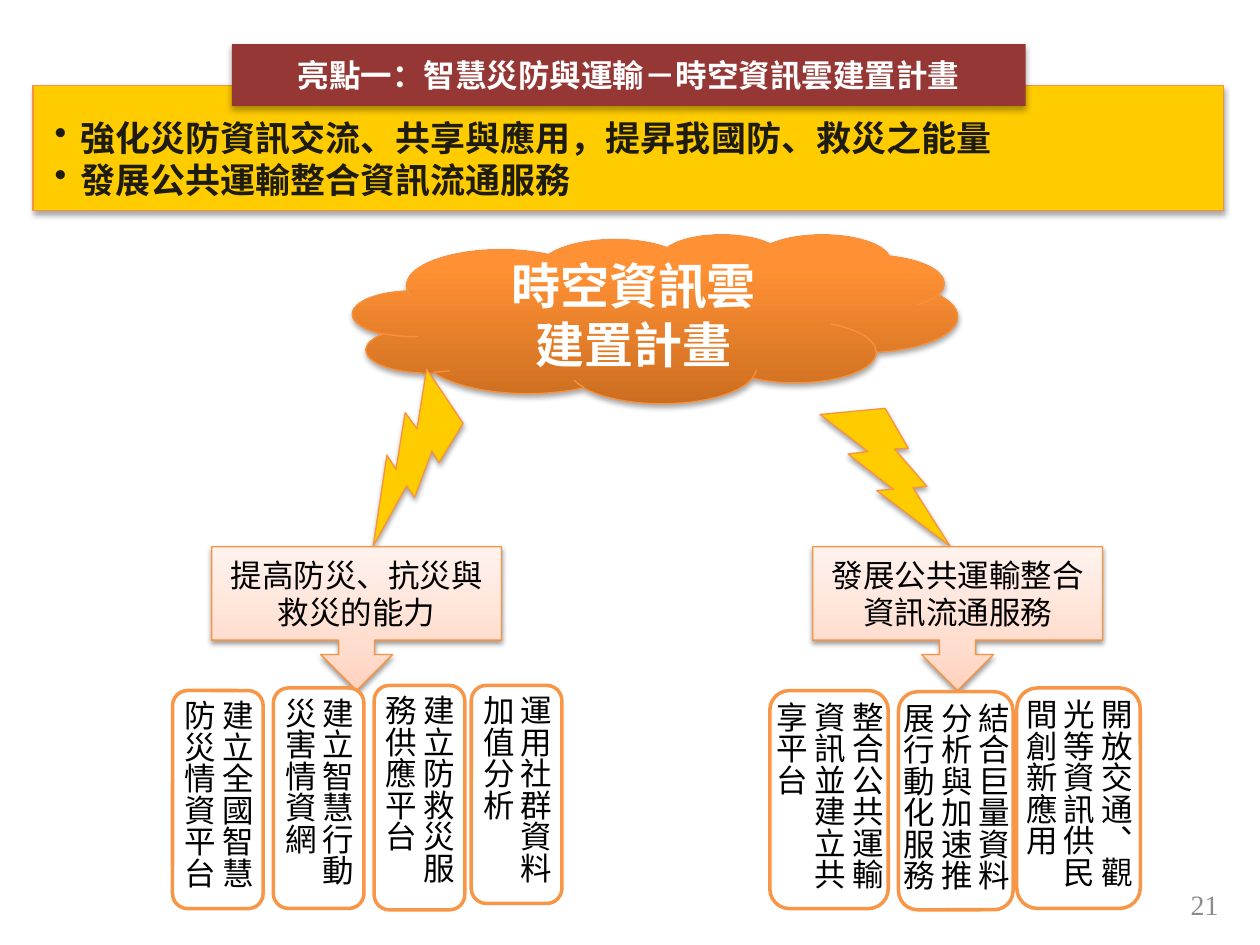
from lxml import etree
from pptx import Presentation
from pptx.dml.color import RGBColor
from pptx.enum.shapes import MSO_SHAPE
from pptx.enum.text import MSO_ANCHOR, MSO_AUTO_SIZE, PP_ALIGN
from pptx.oxml import parse_xml
from pptx.oxml.ns import qn
from pptx.util import Pt

LEFT, CENTER, RIGHT = PP_ALIGN.LEFT, PP_ALIGN.CENTER, PP_ALIGN.RIGHT
TOP, MIDDLE = MSO_ANCHOR.TOP, MSO_ANCHOR.MIDDLE
CLOUD, BOLT, RECT = MSO_SHAPE.CLOUD, MSO_SHAPE.LIGHTNING_BOLT, MSO_SHAPE.RECTANGLE
CALLOUT, ROUNDED = MSO_SHAPE.DOWN_ARROW_CALLOUT, MSO_SHAPE.ROUNDED_RECTANGLE
NS = 'xmlns:a="http://schemas.openxmlformats.org/drawingml/2006/main"'
CJK = "Noto Sans CJK SC"
COLORS = {"white": "FFFFFF", "black": "000000", "ink": "1E1C11", "gray": "8C8C8C",
          "yellow": "FFCC00", "maroon": "953735", "edge": "F69240", "frame": "F79646"}
CLOUD_STOPS = [(0, "CC6E20"), (80, "FF9034"), (100, "FF9136")]
CALLOUT_STOPS = [(0, "FFD2BD"), (35, "FFDED0"), (100, "FFF2ED")]


def write(sp, lines, size=18, color="black", bold=False, font=CJK, align=CENTER,
          anchor=MIDDLE, insets=(7.2, 3.6, 7.2, 3.6), bullet=False, vertical=False):
    tf = sp.text_frame
    tf.word_wrap = True
    tf.auto_size = MSO_AUTO_SIZE.NONE
    tf.vertical_anchor = anchor
    tf.margin_left, tf.margin_top, tf.margin_right, tf.margin_bottom = map(Pt, insets)
    if vertical:
        tf._txBody.bodyPr.set("vert", "eaVert")
    for i, line in enumerate(lines):
        p = tf.paragraphs[0] if i == 0 else tf.add_paragraph()
        p.alignment = align
        r = p.add_run()
        r.text = line
        r.font.size, r.font.bold, r.font.name = Pt(size), bold, font
        r.font.color.rgb = RGBColor.from_string(COLORS[color])
        etree.SubElement(r.font._element, qn("a:ea")).set("typeface", font)
        if bullet:
            p.level = 1
            pPr = p._p.get_or_add_pPr()
            pPr.set("marL", str(Pt(21)))
            pPr.set("indent", str(-Pt(14.5)))
            etree.SubElement(pPr, qn("a:buChar")).set("char", "•")


def style(sp, fill=None, stops=None, line=None, width=0.75, shadow=None):
    if stops:
        gs = "".join(f'<a:gs pos="{pos * 1000}"><a:srgbClr val="{c}"/></a:gs>' for pos, c in stops)
        sp.fill.background()
        blank = sp._element.spPr.find(qn("a:noFill"))
        blank.getparent().replace(blank, parse_xml(
            f'<a:gradFill {NS} rotWithShape="1"><a:gsLst>{gs}</a:gsLst>'
            '<a:lin ang="16200000" scaled="0"/></a:gradFill>'))
    else:
        sp.fill.solid()
        sp.fill.fore_color.rgb = RGBColor.from_string(COLORS[fill])
    if line:
        sp.line.color.rgb = RGBColor.from_string(COLORS[line])
        sp.line.width = Pt(width)
    else:
        sp.line.fill.background()
    sp.shadow.inherit = False
    if shadow:
        alpha, blur, dist = shadow
        sp._element.spPr.find(qn("a:effectLst")).append(parse_xml(
            f'<a:outerShdw {NS} blurRad="{Pt(blur)}" dist="{Pt(dist)}" dir="5400000" '
            f'rotWithShape="0"><a:srgbClr val="000000"><a:alpha val="{alpha * 1000}"/>'
            '</a:srgbClr></a:outerShdw>'))


prs = Presentation()
prs.slide_width, prs.slide_height = Pt(720), Pt(540)
s = prs.slides.add_slide(prs.slide_layouts[5])
soft = (35, 3.1, 1.8)

number = s.shapes.add_textbox(Pt(535.7), Pt(502.5), Pt(167.8), Pt(28.8))
write(number, ["21"], size=16, color="gray", font="Times New Roman", align=RIGHT)

cloud = s.shapes.add_shape(CLOUD, Pt(201.6), Pt(133.9), Pt(345.6), Pt(96.5))
style(cloud, stops=CLOUD_STOPS, line="edge", shadow=soft)
write(cloud, ["時空資訊雲", "建置計畫"], size=28, color="white", bold=True)

for x, y, angle in [(189.4, 226.1, 75.1), (462.2, 234.7, 13.7)]:
    bolt = s.shapes.add_shape(BOLT, Pt(x), Pt(y), Pt(90), Pt(67.7))
    bolt.rotation = angle
    style(bolt, fill="yellow", line="edge", shadow=soft)

branches = [
    (121, "提高防災、抗災與救災的能力", [
        (98.6, 394.6, 51.8, 124.6, "建立全國智慧防災情資平台"),
        (156.2, 393.1, 51.8, 126, "建立智慧行動災害情資網"),
        (213.8, 391.7, 51.8, 128.2, "建立防救災服務供應平台"),
        (269.3, 391.7, 51.8, 124.6, "運用社群資料加值分析")]),
    (464.4, "發展公共運輸整合資訊流通服務", [
        (439.9, 394.6, 67.7, 124.6, "整合公共運輸資訊並建立共享平台"),
        (513.4, 395.3, 65.5, 124.6, "結合巨量資料分析與加速推展行動化服務"),
        (581, 393.1, 70.6, 126, "開放交通、觀光等資訊供民間創新應用")]),
]
for left, goal, actions in branches:
    callout = s.shapes.add_shape(CALLOUT, Pt(left), Pt(312.5), Pt(165.6), Pt(82.1))
    style(callout, stops=CALLOUT_STOPS, line="edge", shadow=(38, 3.1, 1.6))
    write(callout, [goal])
    for x, y, w, h, action in actions:
        card = s.shapes.add_shape(ROUNDED, Pt(x), Pt(y), Pt(w), Pt(h))
        style(card, fill="white", line="frame", width=2)
        write(card, [action], align=LEFT, insets=(2.9,) * 4, vertical=True)

banner = s.shapes.add_shape(RECT, Pt(18.9), Pt(49), Pt(680.4), Pt(71.3))
style(banner, fill="yellow", line="edge", shadow=soft)
write(banner, ["強化災防資訊交流、共享與應用，提昇我國防、救災之能量", "發展公共運輸整合資訊流通服務"],
      size=20, color="ink", bold=True, align=LEFT, anchor=TOP,
      insets=(5.8, 17.3, 5.8, 5.8), bullet=True)

title = s.shapes.title
title.left, title.top, title.width, title.height = Pt(132.5), Pt(25.2), Pt(453.6), Pt(35.3)
title._element.spPr.find(qn("a:xfrm")).addnext(
    parse_xml(f'<a:prstGeom {NS} prst="flowChartTerminator"><a:avLst/></a:prstGeom>'))
style(title, fill="maroon", shadow=(32, 3.5, 2.2))
write(title, ["亮點一：智慧災防與運輸－時空資訊雲建置計畫"], color="white", bold=True, insets=(2.9,) * 4)
s.shapes._spTree.append(title._element)

prs.save("out.pptx")
